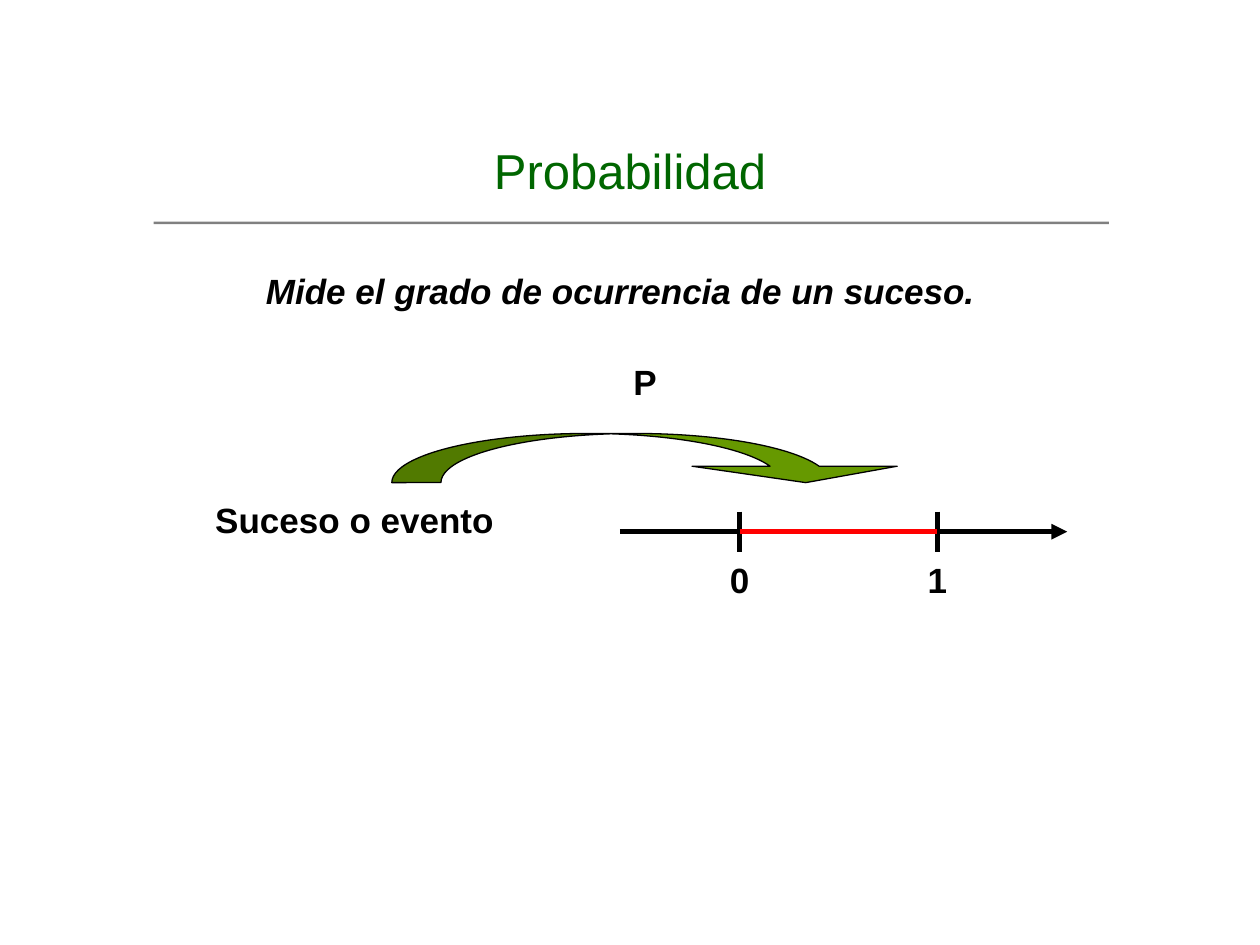
from lxml import etree
from pptx import Presentation
from pptx.dml.color import RGBColor
from pptx.enum.shapes import MSO_CONNECTOR, MSO_SHAPE
from pptx.enum.text import MSO_ANCHOR, PP_ALIGN
from pptx.oxml.ns import qn
from pptx.util import Inches, Pt

LEFT, CENTER = PP_ALIGN.LEFT, PP_ALIGN.CENTER
TOP, MIDDLE = MSO_ANCHOR.TOP, MSO_ANCHOR.MIDDLE
RECTANGLE, CURVED_ARROW = MSO_SHAPE.RECTANGLE, MSO_SHAPE.CURVED_DOWN_ARROW
STRAIGHT = MSO_CONNECTOR.STRAIGHT
COLORS = {
    "title": "006600",
    "text": "000000",
    "rule": "808080",
    "arrow": "669900",
    "interval": "FF0000",
}
FONT = "Arial"


def color(name):
    """Return the named colour."""
    return RGBColor.from_string(COLORS[name])


def add_text(slide, box, text, align=CENTER, size=20, fill="text", bold=True,
             italic=False, anchor=TOP, margins=(0.1, 0.05)):
    """Add a one-paragraph text box."""
    frame = slide.shapes.add_textbox(*map(Inches, box)).text_frame
    frame.word_wrap = True
    frame.vertical_anchor = anchor
    frame.margin_left = frame.margin_right = Inches(margins[0])
    frame.margin_top = frame.margin_bottom = Inches(margins[1])
    frame.text = text
    paragraph = frame.paragraphs[0]
    paragraph.alignment = align
    font = paragraph.runs[0].font
    font.name, font.size = FONT, Pt(size)
    font.bold, font.italic = bold, italic
    font.color.rgb = color(fill)


def add_line(slide, start, end, fill="text", arrow=False):
    """Add a thick straight line, with an arrowhead at its end if asked."""
    points = map(Inches, (*start, *end))
    connector = slide.shapes.add_connector(STRAIGHT, *points)
    connector.line.width = Pt(3)
    connector.line.color.rgb = color(fill)
    properties = connector.line._get_or_add_ln()
    if arrow:
        etree.SubElement(properties, qn("a:tailEnd"), type="triangle")
    etree.SubElement(connector._element.spPr, qn("a:effectLst"))


def add_shape(slide, kind, box, fill):
    """Add a filled shape without outline or shadow."""
    shape = slide.shapes.add_shape(kind, *map(Inches, box))
    shape.shadow.inherit = False
    shape.fill.solid()
    shape.fill.fore_color.rgb = color(fill)
    shape.line.fill.background()
    return shape


def add_header(slide, left, top, width, height):
    """Place the title with the grey rule under it."""
    add_text(slide, (left, top, width, height), "Probabilidad", size=28,
             fill="title", bold=False, anchor=MIDDLE, margins=(0, 0))
    add_shape(slide, RECTANGLE, (left + 0.72, top + 0.85, 7.58, 0.02), "rule")


def add_mapping(slide, left, top):
    """Place the event, the curved arrow and the letter P above it."""
    add_text(slide, (left, top + 1.1, 2.44, 0.44), "Suceso o evento", LEFT)
    arrow = add_shape(slide, CURVED_ARROW, (left + 1.5, top + 0.63, 4.1, 0.39), "arrow")
    for index, value in enumerate((2.088, 4.175, 0.333)):
        arrow.adjustments[index] = value
    arrow.line.color.rgb = color("text")
    arrow.line.width = Pt(0.75)
    add_text(slide, (left + 2.29, top, 2.44, 0.44), "P")


def add_number_line(slide, left, middle, width):
    """Place the axis with its marks and the interval from 0 to 1."""
    marks = {"0": left + 0.95, "1": left + 2.52}
    add_line(slide, (left, middle), (left + width, middle), arrow=True)
    for label, x in marks.items():
        add_line(slide, (x, middle - 0.16), (x, middle + 0.16))
        add_text(slide, (x - 0.25, middle + 0.16, 0.5, 0.44), label)
    add_line(slide, (marks["0"], middle), (marks["1"], middle), "interval")


def main():
    """Build the slide and save it."""
    presentation = Presentation()
    presentation.slide_width, presentation.slide_height = Inches(10), Inches(7.5)
    slide = presentation.slides.add_slide(presentation.slide_layouts[6])
    add_header(slide, 0.5, 0.91, 9, 0.87)
    add_text(slide, (0.12, 2.14, 9.61, 4.95),
             "Mide el grado de ocurrencia de un suceso.", italic=True, margins=(0, 0))
    add_mapping(slide, 1.61, 2.81)
    add_number_line(slide, 4.92, 4.22, 3.55)
    presentation.save("out.pptx")


if __name__ == "__main__":
    main()
